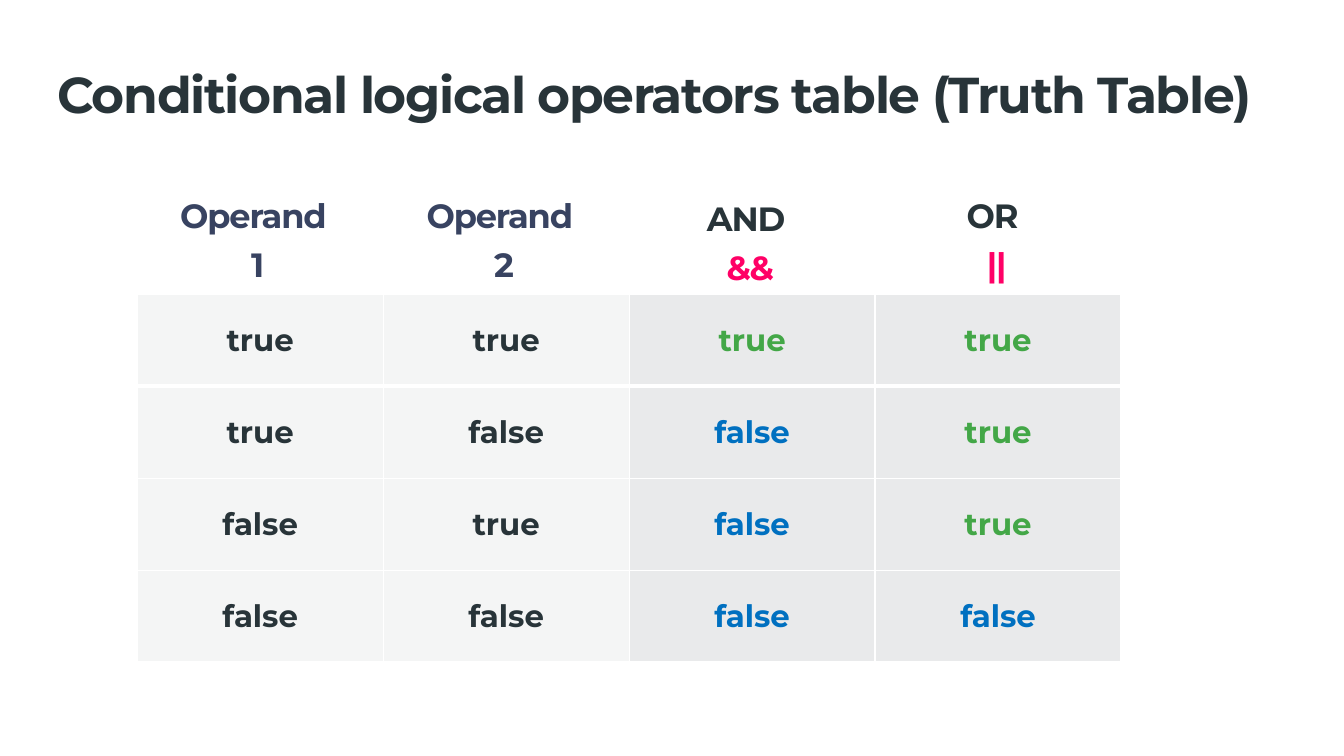
from itertools import product

from lxml import etree
from pptx import Presentation
from pptx.dml.color import RGBColor
from pptx.enum import text
from pptx.oxml.ns import qn
from pptx.util import Pt

DARK = RGBColor(0x28, 0x34, 0x39)
NAVY = RGBColor(0x38, 0x43, 0x61)
PINK = RGBColor(0xFF, 0x00, 0x66)
GREEN = RGBColor(0x43, 0xA7, 0x47)
BLUE = RGBColor(0x00, 0x70, 0xC0)
OPERAND_FILL = RGBColor(0xF4, 0xF5, 0xF5)
RESULT_FILL = RGBColor(0xE9, 0xEA, 0xEB)


def write(p, words, size=24, color=DARK, align=text.PP_ALIGN.CENTER, spacing=0):
    """Put one bold run in a paragraph; spacing is in hundredths of a point."""
    p.alignment = align
    r = p.add_run()
    r.text = words
    r.font.name = "Montserrat"
    r.font.size = Pt(size)
    r.font.bold = True
    r.font.color.rgb = color
    if spacing:
        r.font._element.set("spc", str(spacing))


def set_borders(cell, top, bottom):
    """Give a cell white borders: 1 pt at the sides, top and bottom as told."""
    tcPr = cell._tc.get_or_add_tcPr()
    for side, width in (("L", 1), ("R", 1), ("T", top), ("B", bottom)):
        ln = etree.SubElement(tcPr, qn(f"a:ln{side}"), w=str(Pt(width)))
        fill = etree.SubElement(ln, qn("a:solidFill"))
        etree.SubElement(fill, qn("a:srgbClr"), val="FFFFFF")


prs = Presentation()
prs.slide_width, prs.slide_height = Pt(960), Pt(540)
s = prs.slides.add_slide(prs.slide_layouts[6])

# Title
title = s.shapes.add_textbox(Pt(33.8), Pt(31), Pt(878.4), Pt(76.3))
tf = title.text_frame
tf.word_wrap = True
tf.vertical_anchor = text.MSO_ANCHOR.MIDDLE
tf.paragraphs[0].line_spacing = 0.9
write(tf.paragraphs[0], "Conditional logical operators table (Truth Table)",
      size=36, align=text.PP_ALIGN.LEFT, spacing=-100)

# Column headings
headings = [
    ("Operand ", NAVY, "1", NAVY, 136),
    ("Operand ", NAVY, "2", NAVY, 136),
    ("AND ", DARK, "&&", PINK, 138),
    ("OR ", DARK, "||", PINK, 136),
]
for i, (name, name_color, sign, sign_color, top) in enumerate(headings):
    heading = s.shapes.add_textbox(Pt(96 + 176 * i), Pt(top), Pt(176), Pt(72))
    tf = heading.text_frame
    tf.word_wrap = True
    write(tf.paragraphs[0], name, color=name_color, spacing=-80)
    p = tf.add_paragraph()
    p.space_before = Pt(6)
    write(p, sign, color=sign_color, spacing=-80)

# Truth table
frame = s.shapes.add_table(4, 4, Pt(98), Pt(210.2), Pt(702.8), Pt(262.8))
table = frame.table
table.first_row = table.horz_banding = False
for row, (a, b) in enumerate(product((True, False), repeat=2)):
    for col, value in enumerate((a, b, a and b, a or b)):
        is_result = col > 1
        cell = table.cell(row, col)
        set_borders(cell, top=3 if row == 1 else 1, bottom=3 if row == 0 else 1)
        cell.fill.solid()
        cell.fill.fore_color.rgb = RESULT_FILL if is_result else OPERAND_FILL
        cell.vertical_anchor = text.MSO_ANCHOR.MIDDLE
        result_color = GREEN if value else BLUE
        write(cell.text_frame.paragraphs[0], "true" if value else "false",
              size=22, color=result_color if is_result else DARK)

prs.save("out.pptx")
